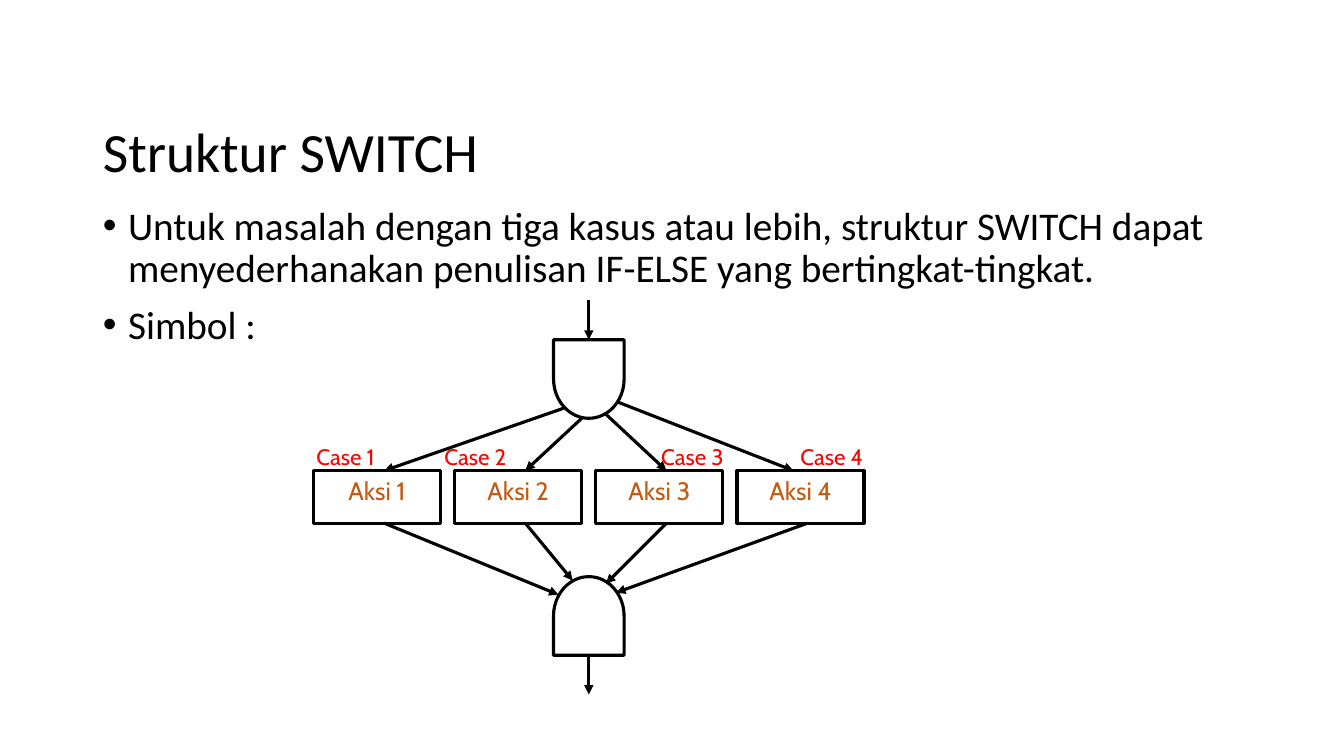
import pptx
import pptx.util
import pptx.dml.color
import pptx.enum.shapes
import pptx.enum.text
import pptx.oxml
import pptx.oxml.ns

Inches, Pt = pptx.util.Inches, pptx.util.Pt
SHAPE = pptx.enum.shapes.MSO_SHAPE
ALIGN = pptx.enum.text.PP_ALIGN
ANCHOR = pptx.enum.text.MSO_ANCHOR
COLORS = {"ink": "000000", "paper": "FFFFFF", "action": "C55A11", "case": "FF0000"}
LINE_WIDTH = 2.25


def rgb(name):
    return pptx.dml.color.RGBColor.from_string(COLORS[name])


def append_xml(parent, tag, attributes=""):
    namespace = pptx.oxml.ns.nsdecls("a")
    parent.append(pptx.oxml.parse_xml(f"<a:{tag} {namespace} {attributes}/>"))


def place(shape, left, top, width, height):
    shape.left, shape.top = Inches(left), Inches(top)
    shape.width, shape.height = Inches(width), Inches(height)


def style_runs(paragraph, font, size, color):
    for run in paragraph.runs:
        run.font.name = font
        run.font.size = Pt(size)
        run.font.color.rgb = rgb(color)


def add_title(slide, left, top, width, height):
    title = slide.shapes.title
    place(title, left, top, width, height)
    frame = title.text_frame
    frame.text = "Struktur SWITCH"
    frame.auto_size = pptx.enum.text.MSO_AUTO_SIZE.NONE
    frame.vertical_anchor = ANCHOR.MIDDLE
    heading = frame.paragraphs[0]
    heading.alignment = ALIGN.LEFT
    heading.line_spacing = 0.9
    style_runs(heading, "Calibri", 39.6, "ink")


def add_explanation(slide, left, top, width, height):
    explanation = slide.placeholders[1]
    place(explanation, left, top, width, height)
    frame = explanation.text_frame
    frame.text = (
        "Untuk masalah dengan tiga kasus atau lebih, struktur SWITCH dapat "
        "menyederhanakan penulisan IF-ELSE yang bertingkat-tingkat.\nSimbol :"
    )
    frame.auto_size = pptx.enum.text.MSO_AUTO_SIZE.NONE
    for index, point in enumerate(frame.paragraphs):
        properties = point._p.get_or_add_pPr()
        properties.set("marL", str(Inches(0.25)))
        properties.set("indent", str(-Inches(0.25)))
        append_xml(properties, "buFont", 'typeface="Arial"')
        append_xml(properties, "buChar", 'char="•"')
        point.line_spacing = 0.9
        point.space_before = Pt(10 if index else 0)
        style_runs(point, "Calibri", 28, "ink")


def add_outlined(slide, kind, left, top, width, height):
    shape = slide.shapes.add_shape(
        kind, Inches(left), Inches(top), Inches(width), Inches(height))
    shape.shadow.inherit = False
    shape.fill.solid()
    shape.fill.fore_color.rgb = rgb("paper")
    shape.line.color.rgb = rgb("ink")
    shape.line.width = Pt(LINE_WIDTH)
    return shape


def add_arrow(slide, start, end):
    arrow = slide.shapes.add_connector(
        pptx.enum.shapes.MSO_CONNECTOR.STRAIGHT, *map(Inches, start + end))
    arrow.line.color.rgb = rgb("ink")
    arrow.line.width = Pt(LINE_WIDTH)
    append_xml(arrow.line._get_or_add_ln(), "tailEnd", 'type="triangle"')
    append_xml(arrow._element.spPr, "effectLst")


def add_action(slide, label, left, top, width, height):
    action = add_outlined(slide, SHAPE.RECTANGLE, left, top, width, height)
    action.text_frame.text = label
    action.text_frame.vertical_anchor = ANCHOR.TOP
    action.text_frame.paragraphs[0].alignment = ALIGN.CENTER
    style_runs(action.text_frame.paragraphs[0], "Cabin", 18, "action")


def add_case(slide, label, left, top):
    case = slide.shapes.add_textbox(Inches(left), Inches(top), Inches(1.12), Inches(0.39))
    case.text_frame.word_wrap = True
    case.text_frame.text = label
    style_runs(case.text_frame.paragraphs[0], "Cabin", 16, "case")


def add_switch_diagram(slide, left, top, width, height):
    """Draw the switch: a fork, four actions in a row, and a join."""
    center = left + width / 2
    bottom = top + height
    gate_length, gate_width = 0.78, 0.7
    action_width, action_height, pitch = 1.26, 0.52, 1.4
    row_top = top + 1.69
    row_bottom = row_top + action_height

    for gate_top, rotation in ((top + 0.39, 90), (bottom - 1.17, 270)):
        # The delay symbol lies on its side before it is turned.
        gate = add_outlined(
            slide, SHAPE.FLOWCHART_DELAY, center - gate_length / 2,
            gate_top + (gate_length - gate_width) / 2, gate_length, gate_width)
        gate.rotation = rotation

    # Per case: label offset, fork exit, arrow end offset, join entry
    branches = (
        (-0.07, (5.59, 4.05), 0.7, (5.54, 5.9)),
        (-0.2, (5.77, 4.15), 0.7, (5.68, 5.76)),
        (0.55, (6.01, 4.11), 0.7, (6.01, 5.79)),
        (0.53, (6.13, 3.99), 0.56, (6.11, 5.88)),
    )
    for index, (label_shift, fork_exit, arrow_shift, join_entry) in enumerate(branches):
        action_left = left + index * pitch
        add_action(slide, f"Aksi {index + 1}", action_left, row_top,
                   action_width, action_height)
        add_arrow(slide, fork_exit, (action_left + arrow_shift, row_top))
        add_arrow(slide, (action_left + 0.7, row_bottom), join_entry)
        add_case(slide, f"Case {index + 1}", action_left + label_shift, row_top - 0.32)

    for arrow_top in (top, bottom - 0.39):
        add_arrow(slide, (center, arrow_top), (center, arrow_top + 0.39))


def main():
    deck = pptx.Presentation()
    deck.slide_width, deck.slide_height = Inches(13.33), Inches(7.5)
    slide = deck.slides.add_slide(deck.slide_layouts[1])
    add_title(slide, 0.92, 1.26, 11.5, 0.54)
    add_explanation(slide, 0.92, 2, 11.5, 4.76)
    add_switch_diagram(slide, 3.11, 2.98, 5.46, 3.91)
    deck.save("out.pptx")


if __name__ == "__main__":
    main()
